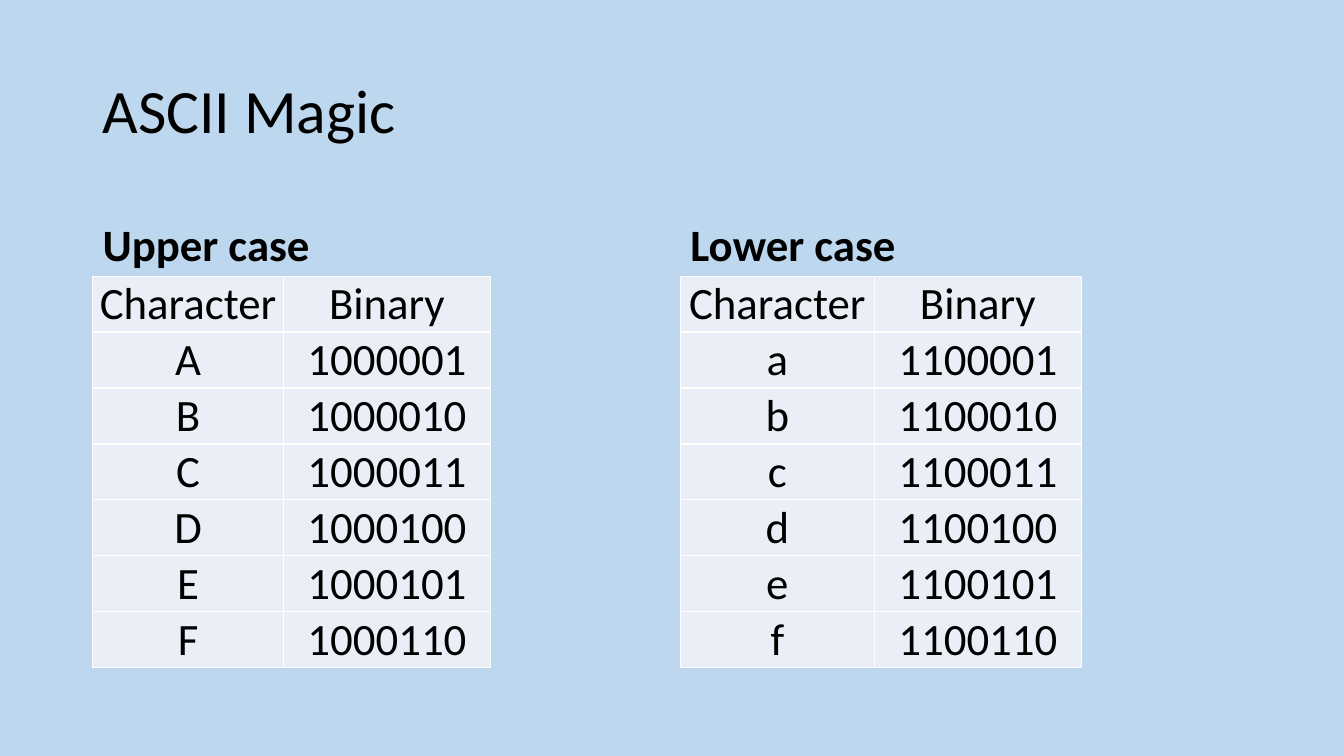
import pptx
import pptx.dml.color
import pptx.enum.text
import pptx.oxml
import pptx.oxml.ns
import pptx.util

ANCHOR = pptx.enum.text.MSO_ANCHOR
ALIGN = pptx.enum.text.PP_ALIGN


def rgb(value):
    return pptx.dml.color.RGBColor.from_string(value)


class Deck:
    """Style and current slide; lengths are percentages of the slide's size."""

    FONT, INK = "Calibri", "000000"
    PAPER, CELL, RULE = "BDD7EE", "EAEFF7", "FFFFFF"

    def __init__(self):
        self.prs = pptx.Presentation()
        self.prs.slide_width = pptx.util.Inches(13.33)
        self.prs.slide_height = pptx.util.Inches(7.5)
        self.s = self.prs.slides.add_slide(self.prs.slide_layouts[6])
        fill = self.s.background.fill
        fill.solid()
        fill.fore_color.rgb = rgb(self.PAPER)

    def x(self, share):
        return round(self.prs.slide_width * share / 100)

    def y(self, share):
        return round(self.prs.slide_height * share / 100)

    def style(self, p, size, bold=False):
        p.font.name, p.font.size, p.font.bold = self.FONT, pptx.util.Pt(size), bold
        p.font.color.rgb = rgb(self.INK)

    def text(self, text, left, top, width, height, size, anchor, bold=False):
        sp = self.s.shapes.add_textbox(self.x(left), self.y(top), self.x(width), self.y(height))
        tf = sp.text_frame
        tf.word_wrap = True
        tf.vertical_anchor = anchor
        p = tf.paragraphs[0]
        p.text = text
        p.line_spacing = 0.9
        self.style(p, size, bold)

    def cell(self, cell, text):
        cell.text = text
        cell.vertical_anchor = ANCHOR.MIDDLE
        cell.margin_left = cell.margin_right = pptx.util.Inches(0.02)
        cell.margin_top, cell.margin_bottom = pptx.util.Inches(0.01), 0
        p = cell.text_frame.paragraphs[0]
        p.alignment = ALIGN.CENTER
        self.style(p, 32)
        # Borders come before the fill in the cell properties
        props = cell._tc.get_or_add_tcPr()
        for side in "LRTB":
            props.append(pptx.oxml.parse_xml(
                f'<a:ln{side} {pptx.oxml.ns.nsdecls("a")} w="12700"><a:solidFill>'
                f'<a:srgbClr val="{self.RULE}"/></a:solidFill></a:ln{side}>'))
        cell.fill.solid()
        cell.fill.fore_color.rgb = rgb(self.CELL)

    def table(self, rows, left, top, widths, row_height):
        frame = self.s.shapes.add_table(
            len(rows), len(widths), self.x(left), self.y(top),
            self.x(sum(widths)), self.y(row_height * len(rows)))
        table = frame.table
        table.first_row = table.horz_banding = False
        for column, width in zip(table.columns, widths):
            column.width = self.x(width)
        for i, row in enumerate(rows):
            table.rows[i].height = self.y(row_height)
            for j, text in enumerate(row):
                self.cell(table.cell(i, j), text)


def main():
    deck = Deck()

    # Title
    deck.text("ASCII Magic", 6.9, 5.33, 86.27, 19.33, 44, ANCHOR.MIDDLE)

    # One heading and code table per letter case
    for heading, letters, left, widths in (
            ("Upper case", "ABCDEF", 6.9, (14.2, 15.4)),
            ("Lower case", "abcdef", 50.64, (14.4, 15.45))):
        deck.text(heading, left, 24.53, 42.4, 12, 32, ANCHOR.BOTTOM, bold=True)
        codes = [(letter, format(ord(letter), "b")) for letter in letters]
        deck.table([("Character", "Binary")] + codes, left, 36.53, widths, 7.4)

    deck.prs.save("out.pptx")


if __name__ == "__main__":
    main()
